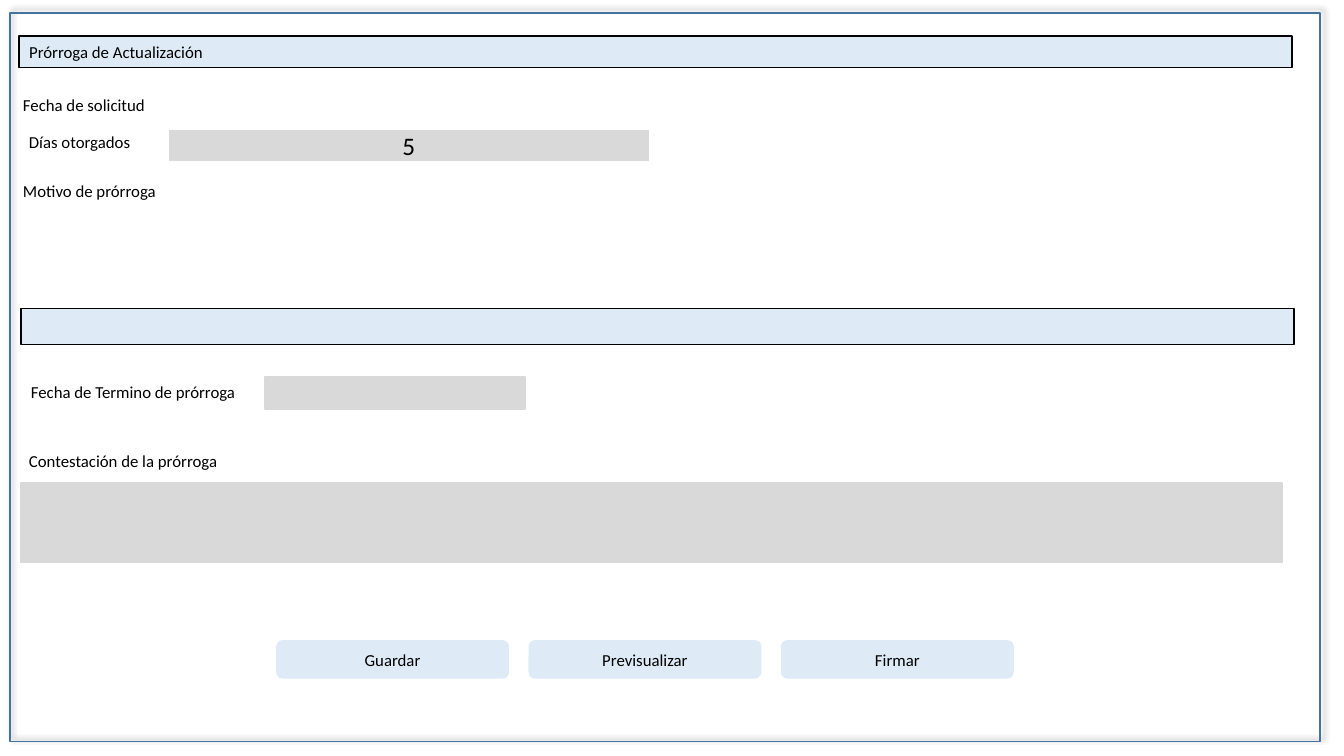
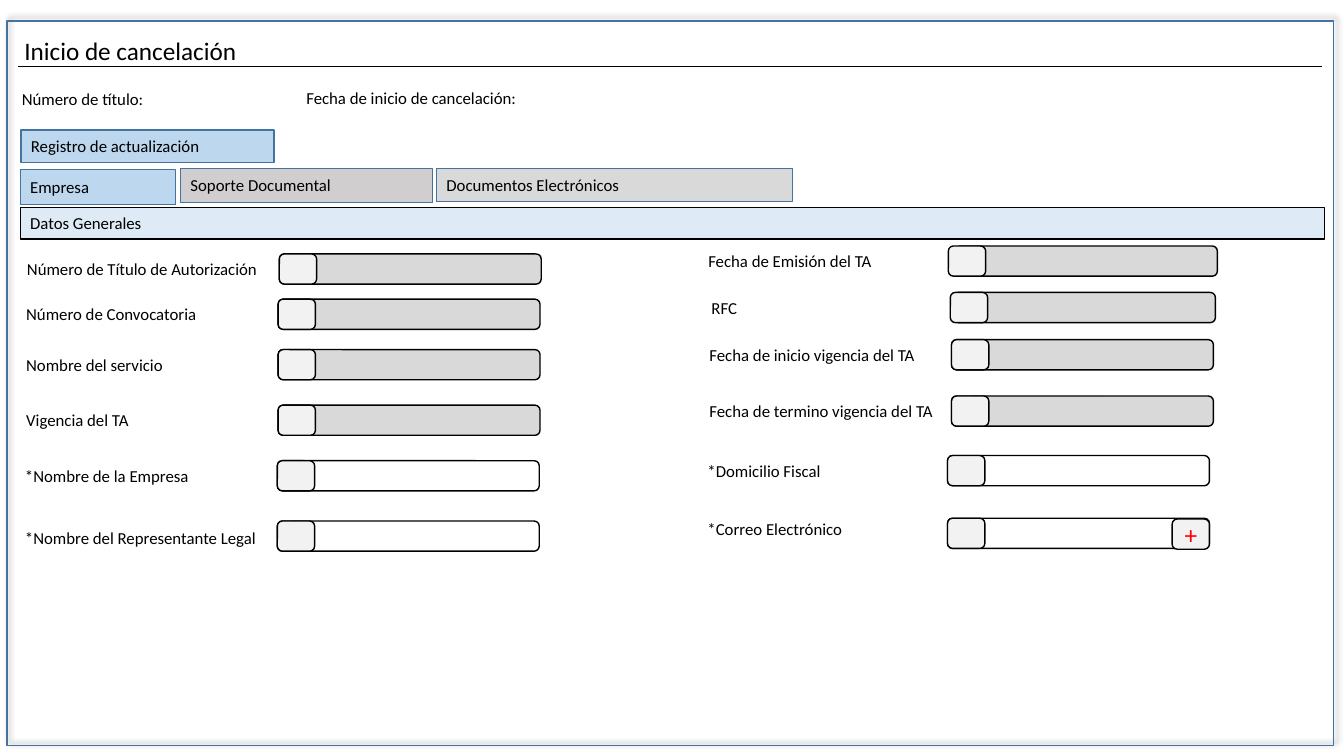
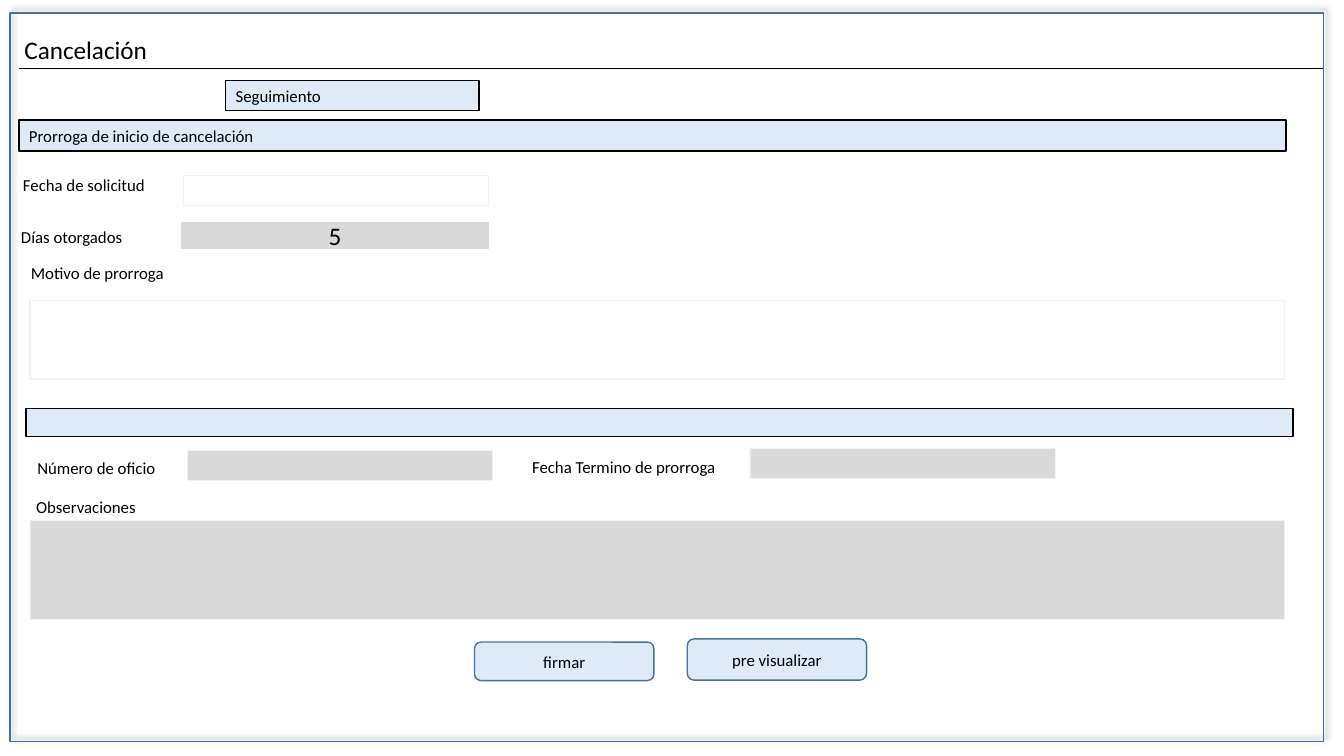
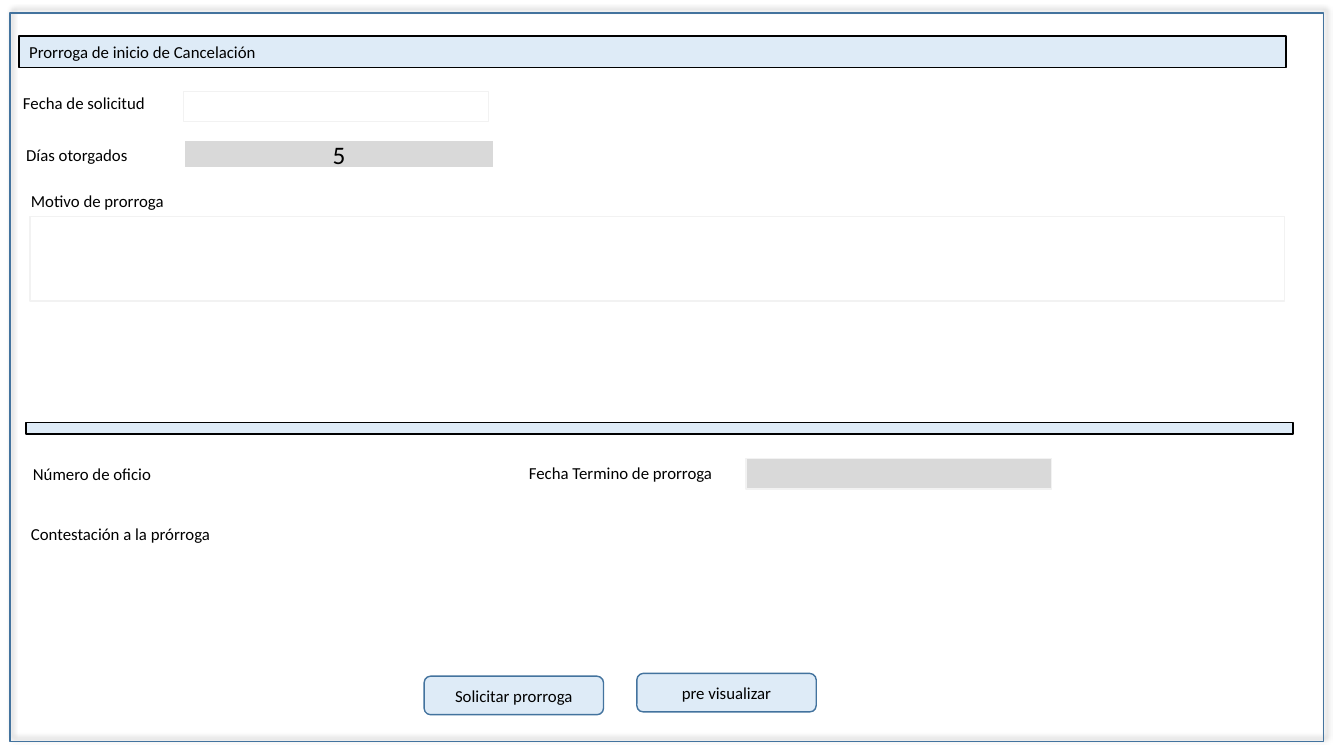
from lxml import etree
from pptx import Presentation
from pptx.dml.color import RGBColor
from pptx.enum.shapes import MSO_CONNECTOR, MSO_SHAPE
from pptx.enum.text import MSO_ANCHOR, MSO_AUTO_SIZE, PP_ALIGN
from pptx.oxml import parse_xml
from pptx.oxml.ns import nsdecls, qn
from pptx.util import Cm, Pt

# Shared style
FONT = "Calibri"
BLACK, WHITE, RED = "000000", "FFFFFF", "FF0000"
BORDER = "43739E"
PALE_BLUE, SKY_BLUE = "DEEBF7", "BDD7EE"
GREY, WARM_GREY, LIGHT_GREY = "D9D9D9", "D0CECE", "F2F2F2"
TEXT_SIZE, HEADING_SIZE = 12, 18
ROW_HEIGHT = 0.76


def colour(hex_code):
    return RGBColor.from_string(hex_code)


def box_at(x, y, width, height):
    return Cm(x), Cm(y), Cm(width), Cm(height)


# Kinds of element
def write(shape, text, size=TEXT_SIZE, color=BLACK, align=PP_ALIGN.LEFT,
          anchor=MSO_ANCHOR.MIDDLE):
    frame = shape.text_frame
    frame.word_wrap = True
    frame.vertical_anchor = anchor
    paragraph = frame.paragraphs[0]
    paragraph.alignment = align
    run = paragraph.add_run()
    run.text = text
    run.font.name = FONT
    run.font.size = Pt(size)
    run.font.color.rgb = colour(color)


def paint(shape, fill, line):
    if fill:
        shape.fill.solid()
        shape.fill.fore_color.rgb = colour(fill)
    else:
        shape.fill.background()
    if line:
        shape.line.color.rgb = colour(line)
        shape.line.width = Pt(1)
    else:
        shape.line.fill.background()


def add_box(slide, x, y, width, height, fill, line, text="",
            kind=MSO_SHAPE.RECTANGLE, **text_style):
    box = slide.shapes.add_shape(kind, *box_at(x, y, width, height))
    box.shadow.inherit = False
    paint(box, fill, line)
    if text:
        write(box, text, **text_style)
    return box


def add_window(slide, x, y, width, height):
    window = add_box(slide, x, y, width, height, None, BORDER)
    effects = window._element.spPr.find(qn("a:effectLst"))
    effects.append(parse_xml(
        f'<a:outerShdw {nsdecls("a")} blurRad="50800" dist="38100" '
        'dir="18900000" algn="bl" rotWithShape="0">'
        '<a:prstClr val="black"><a:alpha val="40000"/></a:prstClr>'
        '</a:outerShdw>'))


def place_title(slide, text, x, y, width, height, size):
    title = slide.shapes.title
    title.left, title.top, title.width, title.height = box_at(x, y, width, height)
    title.text_frame.auto_size = MSO_AUTO_SIZE.NONE
    write(title, text, size)
    return title


def add_heading(slide, text, y, rule_x, rule_y, rule_end):
    place_title(slide, text, 0.36, y, 12.98, 1.02, HEADING_SIZE)
    rule = slide.shapes.add_connector(
        MSO_CONNECTOR.STRAIGHT, Cm(rule_x), Cm(rule_y), Cm(rule_end), Cm(rule_y))
    rule.line.color.rgb = colour(BLACK)
    rule.line.width = Pt(0.5)
    etree.SubElement(rule._element.spPr, qn("a:effectLst"))


def add_heading_bar(slide, text, width):
    paint(place_title(slide, text, 0.48, 0.91, width, 0.79, TEXT_SIZE),
          PALE_BLUE, BLACK)


def add_bar(slide, x, y, width, height, text=""):
    add_box(slide, x, y, width, height, PALE_BLUE, BLACK, text)


def add_label(slide, text, x, y, width=9):
    label = slide.shapes.add_textbox(*box_at(x, y, width, ROW_HEIGHT))
    write(label, text, anchor=MSO_ANCHOR.TOP)


def add_labels(slide, labels):
    for text, x, y in labels:
        add_label(slide, text, x, y)


def add_days(slide, x, y, width, height):
    add_box(slide, x, y, width, height, GREY, GREY, "5",
            size=HEADING_SIZE, align=PP_ALIGN.CENTER)


def add_button(slide, text, x, y, width=4.52, height=0.97, line=BORDER):
    add_box(slide, x, y, width, height, PALE_BLUE, line, text,
            MSO_SHAPE.ROUNDED_RECTANGLE, align=PP_ALIGN.CENTER)


def add_entry(slide, x, y, fill, width=6.6, text="", **text_style):
    add_box(slide, x, y, width, ROW_HEIGHT, fill, BLACK, text,
            MSO_SHAPE.ROUNDED_RECTANGLE, **text_style)


def add_marker(slide, x, y, text="", **text_style):
    add_entry(slide, x, y, LIGHT_GREY, 0.94, text, **text_style)


# Slides
def build_update_extension(slide):
    add_window(slide, 0.25, 0.33, 33.02, 18.36)
    add_heading_bar(slide, "Prórroga de Actualización", 32.08)
    add_bar(slide, 0.53, 7.77, 32.08, 0.91)
    add_days(slide, 4.27, 3.3, 12.07, 0.74)
    add_box(slide, 6.68, 9.5, 6.55, 0.81, GREY, GREY)
    add_box(slide, 0.53, 12.17, 31.78, 2.01, GREY, GREY)
    add_labels(slide, [
        ("Fecha de solicitud", 0.33, 2.26),
        ("Días otorgados", 0.48, 3.2),
        ("Motivo de prórroga", 0.33, 4.42),
        ("Fecha de Termino de prórroga", 0.53, 9.5),
        ("Contestación de la prórroga", 0.48, 11.23),
    ])
    for column, action in enumerate(("Guardar", "Previsualizar", "Firmar")):
        add_button(slide, action, 6.96 + 6.36 * column, 16.13, 5.87, line=None)


def build_cancellation_start(slide):
    add_window(slide, 0.18, 0.53, 33.43, 18.26)
    add_heading(slide, "Inicio de cancelación", 0.76, 0.46, 1.68, 33.32)
    add_label(slide, "Número de título:", 0.3, 2.11, 4.29)
    add_label(slide, "Fecha de inicio de cancelación:", 7.47, 2.08, 6.17)

    # Tabs
    for text, x, y, width, height, fill in (
            ("Registro de actualización", 0.53, 3.28, 6.38, 0.81, SKY_BLUE),
            ("Empresa", 0.51, 4.27, 3.91, 0.89, SKY_BLUE),
            ("Soporte Documental", 4.55, 4.24, 6.35, 0.86, WARM_GREY),
            ("Documentos Electrónicos", 11, 4.24, 8.97, 0.84, GREY)):
        add_box(slide, x, y, width, height, fill, BORDER, text)
    add_bar(slide, 0.51, 5.23, 32.87, 0.79, "Datos Generales")

    # Form: label, its place, marker x, entry x, entry y; * marks editable ones
    for text, x, y, marker_x, entry_x, entry_y in (
            ("Número de Título de Autorización", 0.43, 6.4, 7.04, 7.04, 6.4),
            ("Número de Convocatoria", 0.41, 7.54, 7.01, 7.01, 7.54),
            ("Nombre del servicio", 0.41, 8.81, 7.01, 7.01, 8.81),
            ("Vigencia del TA", 0.41, 10.21, 7.01, 7.01, 10.21),
            ("*Nombre de la Empresa", 0.38, 11.61, 6.99, 6.99, 11.61),
            ("*Nombre del Representante Legal", 0.38, 13.18, 6.99, 6.99, 13.13),
            ("Fecha de Emisión del TA", 17.6, 6.2, 23.9, 24.08, 6.2),
            ("RFC", 17.68, 7.37, 23.95, 24.03, 7.37),
            ("Fecha de inicio vigencia del TA", 17.63, 8.56, 23.98, 23.98, 8.56),
            ("Fecha de termino vigencia del TA", 17.63, 9.98, 23.98, 23.98, 9.98),
            ("*Domicilio Fiscal", 17.58, 11.48, 23.88, 23.88, 11.48),
            ("*Correo Electrónico", 17.58, 12.95, 23.88, 23.88, 13.06)):
        add_entry(slide, entry_x, entry_y, WHITE if text.startswith("*") else GREY)
        add_marker(slide, marker_x, entry_y)
        add_label(slide, text, x, y)
    add_marker(slide, 29.54, 13.08, "+", size=HEADING_SIZE, color=RED,
               align=PP_ALIGN.CENTER)


def build_cancellation_follow_up(slide):
    add_window(slide, 0.25, 0.33, 33.1, 18.36)
    add_heading(slide, "Cancelación", 0.74, 0.48, 1.73, 33.35)
    add_bar(slide, 5.69, 2.03, 6.38, 0.76, "Seguimiento")
    add_bar(slide, 0.48, 3.02, 31.93, 0.79, "Prorroga de inicio de cancelación")
    add_bar(slide, 0.66, 10.29, 31.93, 0.71)
    add_box(slide, 4.62, 4.42, 7.7, ROW_HEIGHT, WHITE, LIGHT_GREY)
    add_days(slide, 4.57, 5.61, 7.75, 0.64)
    add_box(slide, 0.76, 7.57, 31.62, 1.98, WHITE, LIGHT_GREY)
    add_box(slide, 4.72, 11.35, 7.7, ROW_HEIGHT, GREY, LIGHT_GREY)
    add_box(slide, 18.9, 11.3, 7.7, ROW_HEIGHT, GREY, LIGHT_GREY)
    add_box(slide, 0.76, 13.11, 31.62, 2.51, GREY, LIGHT_GREY)
    add_labels(slide, [
        ("Fecha de solicitud", 0.33, 4.29),
        ("Días otorgados", 0.28, 5.59),
        ("Motivo de prorroga", 0.53, 6.5),
        ("Número de oficio", 0.69, 11.4),
        ("Fecha Termino de prorroga", 13.16, 11.38),
        ("Observaciones", 0.66, 12.4),
    ])
    add_button(slide, "firmar", 11.96, 16.18)
    add_button(slide, "pre visualizar", 17.32, 16.1, height=1.04)


def build_cancellation_extension(slide):
    add_window(slide, 0.25, 0.33, 33.1, 18.36)
    add_heading_bar(slide, "Prorroga de inicio de Cancelación", 31.93)
    add_bar(slide, 0.66, 10.64, 31.93, 0.3)
    add_box(slide, 4.62, 2.31, 7.7, ROW_HEIGHT, WHITE, LIGHT_GREY)
    add_days(slide, 4.67, 3.56, 7.75, 0.64)
    add_box(slide, 0.76, 5.46, 31.62, 2.13, WHITE, LIGHT_GREY)
    add_box(slide, 18.8, 11.56, 7.7, ROW_HEIGHT, GREY, LIGHT_GREY)
    add_labels(slide, [
        ("Fecha de solicitud", 0.33, 2.21),
        ("Días otorgados", 0.41, 3.53),
        ("Motivo de prorroga", 0.53, 4.67),
        ("Número de oficio", 0.58, 11.56),
        ("Fecha Termino de prorroga", 13.08, 11.53),
        ("Contestación a la prórroga", 0.53, 13.08),
    ])
    add_button(slide, "Solicitar prorroga", 10.69, 17.04)
    add_button(slide, "pre visualizar", 16.05, 16.97)


def main():
    deck = Presentation()
    deck.slide_width, deck.slide_height = Cm(33.87), Cm(19.05)
    title_only = deck.slide_layouts[5]
    for build in (build_update_extension, build_cancellation_start,
                  build_cancellation_follow_up, build_cancellation_extension):
        build(deck.slides.add_slide(title_only))
    deck.save("out.pptx")


if __name__ == "__main__":
    main()
